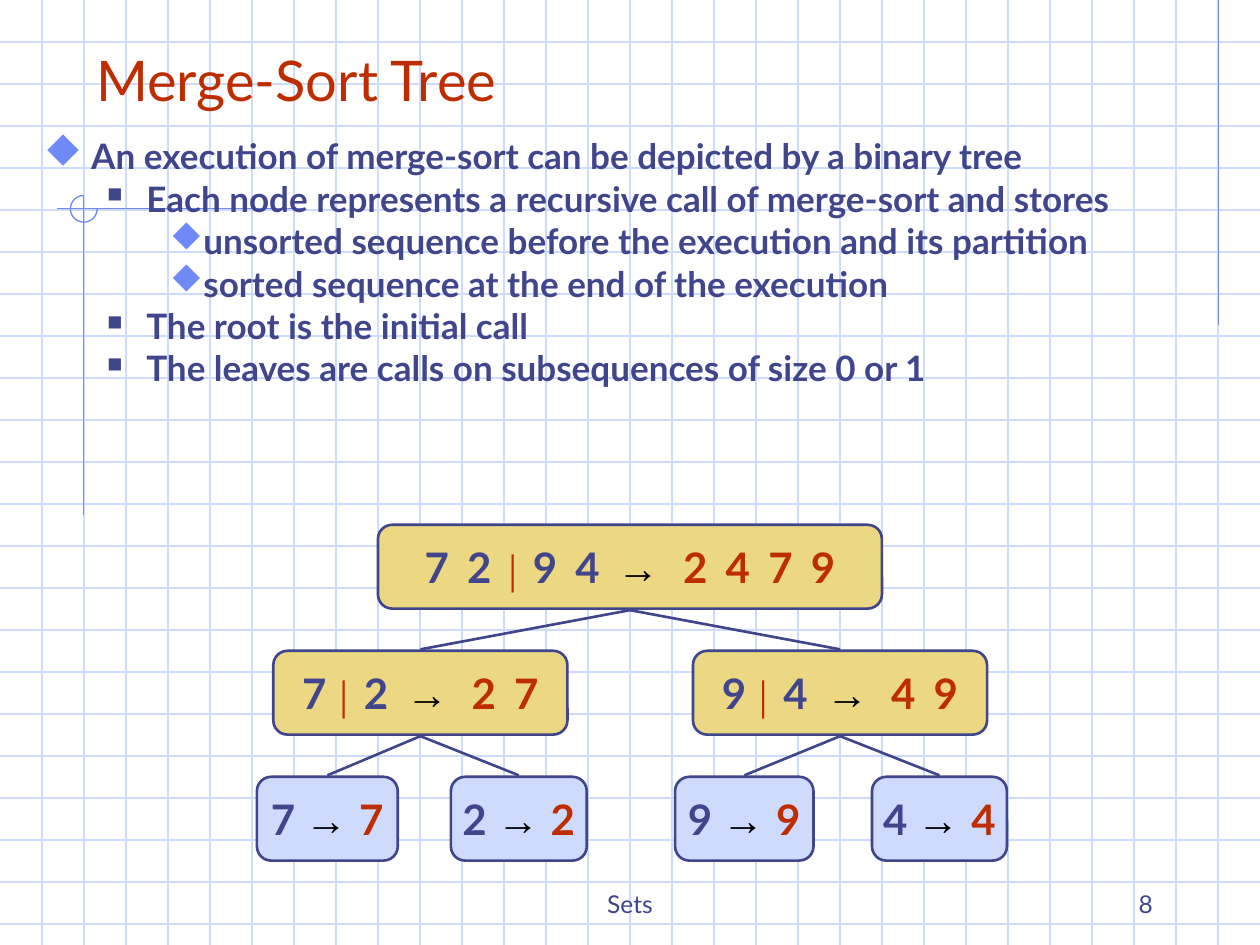
"""Build the merge-sort tree slide."""
from lxml import etree
from pptx import Presentation, util as u
from pptx.dml.color import RGBColor
from pptx.enum import shapes, text
from pptx.oxml import ns

INK, RED, BLUE, PALE, GOLD, BLACK = "40458C", "BE2D00", "6F89F7", "CFDBFD", "ECD882", "000000"
WIDTH, HEIGHT, GRID = 25.4, 19.05, 25.4 / 30

deck = Presentation()
deck.slide_width, deck.slide_height = u.Cm(WIDTH), u.Cm(HEIGHT)
page = deck.slides.add_slide(deck.slide_layouts[6])
color = RGBColor.from_string


def draw_line(x1, y1, x2, y2, ink, points=0.75):
    line = page.shapes.add_connector(
        shapes.MSO_CONNECTOR.STRAIGHT, u.Cm(x1), u.Cm(y1), u.Cm(x2), u.Cm(y2))
    line.line.color.rgb = color(ink)
    line.line.width = u.Pt(points)
    etree.SubElement(line._element.spPr, ns.qn("a:effectLst"))


def write(para, words, size, ink, face="Lato", bold=False, spacing=0):
    span = para.add_run()
    span.text = words
    for name, value in {"size": u.Pt(size), "name": face, "bold": bold}.items():
        setattr(span.font, name, value)
    span.font.color.rgb = color(ink)
    if spacing:
        span.font._element.set("spc", str(round(spacing * 100)))


for row in range(1, 23):
    draw_line(0, row * GRID, WIDTH, row * GRID, PALE)
for column in range(1, 30):
    draw_line(column * GRID, 0, column * GRID, HEIGHT, PALE)

draw_line(24.56, 0, 24.56, 6.55, BLUE)
draw_line(6.1, 4.21, 1.14, 4.21, BLUE)
draw_line(1.69, 3.94, 1.69, 10.39, BLUE)
ring = page.shapes.add_shape(
    shapes.MSO_SHAPE.ARC, u.Cm(1.42), u.Cm(3.94), u.Cm(0.54), u.Cm(0.54))
ring.adjustments[0], ring.adjustments[1] = 0, 162
ring.shadow.inherit = False
ring.fill.background()
ring.line.color.rgb = color(BLUE)
ring.line.width = u.Pt(0.75)

labels = [
    ("Merge-Sort Tree", 32, RED, text.PP_ALIGN.LEFT, (1.69, 0.85, 21.59, 1.54)),
    ("Sets", 14, INK, text.PP_ALIGN.CENTER, (8.68, 17.36, 8.04, 1.27)),
    ("8", 14, INK, text.PP_ALIGN.RIGHT, (18.2, 17.36, 5.29, 1.27)),
]
for words, size, ink, align, place in labels:
    frame = page.shapes.add_textbox(*map(u.Cm, place)).text_frame
    frame.word_wrap = True
    frame.vertical_anchor = text.MSO_ANCHOR.BOTTOM
    frame.paragraphs[0].alignment = align
    write(frame.paragraphs[0], words, size, ink)

bullets = [
    {"char": "u", "ink": BLUE, "percent": 110, "left": 0.95, "hang": 0.95},
    {"char": "n", "ink": INK, "percent": 60, "left": 2.06, "hang": 0.79},
    {"char": "u", "ink": BLUE, "percent": 95, "left": 3.18, "hang": 0.64},
]
points = [
    (0, "An execution of merge-sort can be depicted by a binary tree"),
    (1, "Each node represents a recursive call of merge-sort and stores"),
    (2, "unsorted sequence before the execution and its partition"),
    (2, "sorted sequence at the end of the execution"),
    (1, "The root is the initial call"),
    (1, "The leaves are calls on subsequences of size 0 or 1"),
]
body = page.shapes.add_textbox(u.Cm(0.64), u.Cm(2.76), u.Cm(23.29), u.Cm(7.42)).text_frame
body.word_wrap = True
for index, (level, words) in enumerate(points):
    para = body.add_paragraph() if index else body.paragraphs[0]
    bullet = bullets[level]
    props = para._p.get_or_add_pPr()
    props.set("marL", str(u.Cm(bullet["left"])))
    props.set("indent", str(-u.Cm(bullet["hang"])))
    tint = etree.SubElement(props, ns.qn("a:buClr"))
    etree.SubElement(tint, ns.qn("a:srgbClr")).set("val", bullet["ink"])
    etree.SubElement(props, ns.qn("a:buSzPct")).set("val", str(bullet["percent"] * 1000))
    symbol = etree.SubElement(props, ns.qn("a:buFont"))
    symbol.set("typeface", "Wingdings")
    symbol.set("charset", "2")
    etree.SubElement(props, ns.qn("a:buChar")).set("char", bullet["char"])
    layout = {"level": level, "line_spacing": 0.8, "space_before": u.Pt(5 if index else 0)}
    for name, value in layout.items():
        setattr(para, name, value)
    write(para, words, 20, INK, bold=True)

NODE_HEIGHT, FIRST_TOP, ROW_STEP = 1.69, 10.58, 2.54
tree = [
    [(7.62, 10.16, "7 2", "9 4 ", "2 4 7 9")],
    [(5.51, 5.93, "7", "2 ", "2 7"), (13.97, 5.93, "9", "4 ", "4 9")],
    [(5.18, 2.84, "7 ", "", "7"), (9.09, 2.74, "2 ", "", "2"),
     (13.61, 2.79, "9 ", "", "9"), (17.58, 2.72, "4 ", "", "4")],
]
for depth, nodes in enumerate(tree):
    for left, width, first, second, result in nodes:
        node = page.shapes.add_shape(
            shapes.MSO_SHAPE.ROUNDED_RECTANGLE, u.Cm(left),
            u.Cm(FIRST_TOP + depth * ROW_STEP), u.Cm(width), u.Cm(NODE_HEIGHT))
        node.adjustments[0] = 0.17
        node.shadow.inherit = False
        node.fill.solid()
        node.fill.fore_color.rgb = color(GOLD if second else PALE)
        node.line.color.rgb = color(INK)
        node.line.width = u.Pt(1.5)
        node.text_frame.word_wrap = False
        node.text_frame.vertical_anchor = text.MSO_ANCHOR.MIDDLE
        para = node.text_frame.paragraphs[0]
        para.alignment = text.PP_ALIGN.CENTER
        gap = 2.3 if second else 0
        write(para, first, 24, INK, bold=True, spacing=gap if len(first) > 1 else 0)
        if second:
            write(para, " │ ", 18, RED, "Arial", True)
            write(para, second, 24, INK, bold=True, spacing=gap)
        write(para, "→ ", 24, BLACK, "Arial", True, 3.3 if second else 0)
        write(para, result, 24, RED, bold=True, spacing=gap)

for depth in (1, 2):
    top = FIRST_TOP + depth * ROW_STEP
    for index, (left, width, *_) in enumerate(tree[depth]):
        parent_left, parent_width, *_ = tree[depth - 1][index // 2]
        draw_line(parent_left + parent_width / 2, top - ROW_STEP + NODE_HEIGHT + 0.03,
                  left + width / 2, top - 0.03, INK, 1.5)

deck.save("out.pptx")
